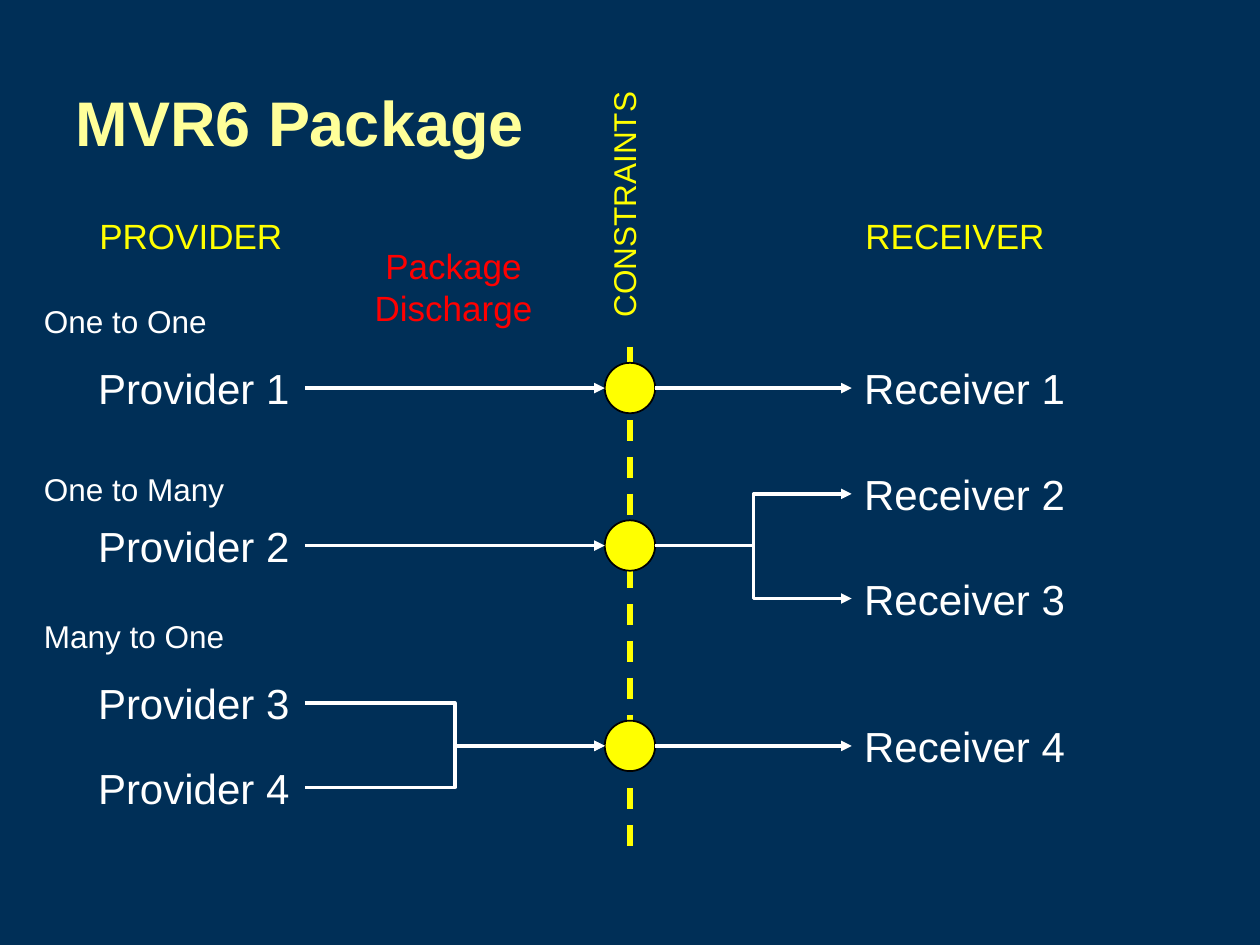
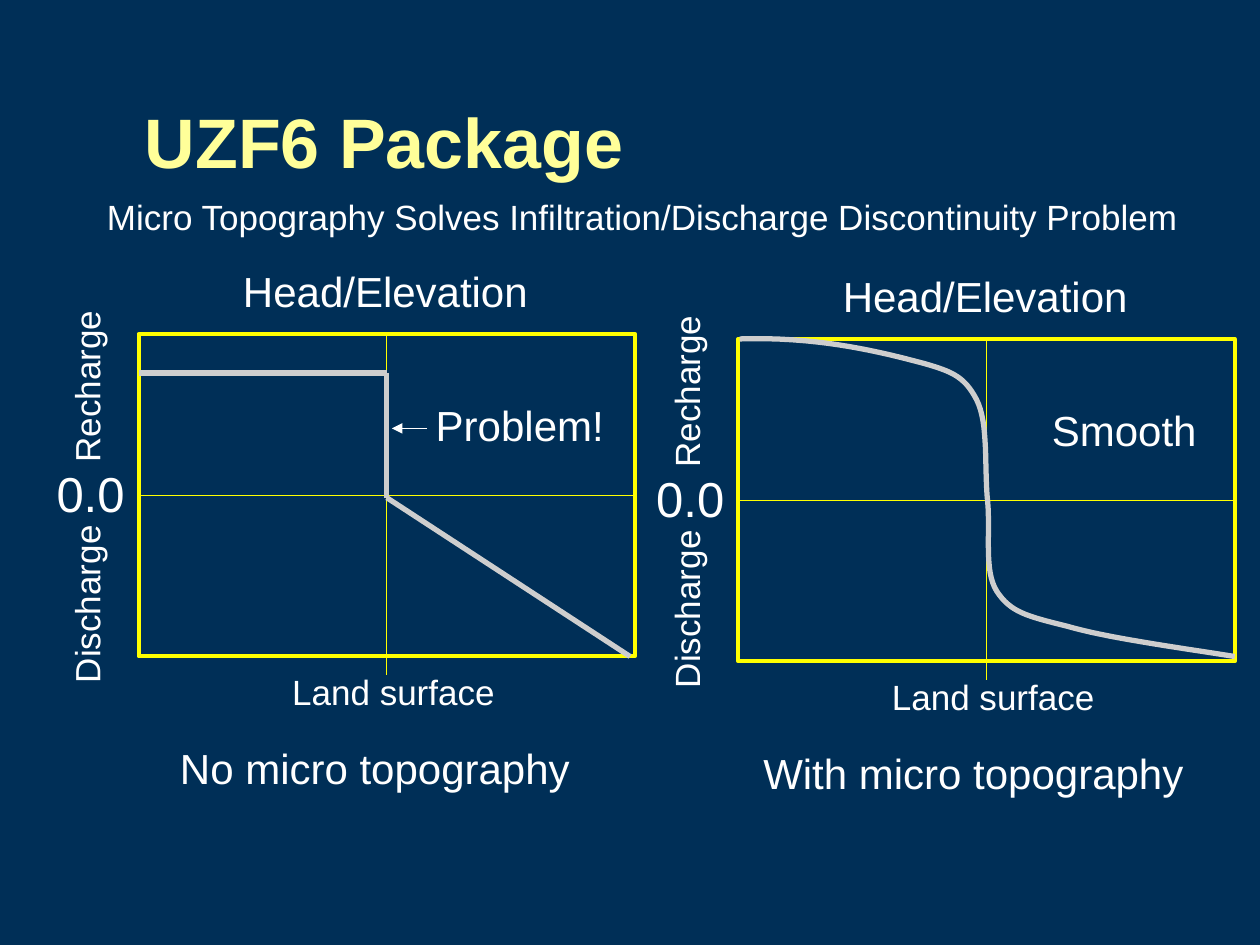
from dataclasses import dataclass
from lxml.etree import SubElement
from pptx import Presentation
from pptx.dml.color import RGBColor
from pptx.enum.dml import MSO_LINE_DASH_STYLE as Dash
from pptx.enum.shapes import MSO_AUTO_SHAPE_TYPE as Preset, MSO_CONNECTOR_TYPE as Route
from pptx.enum.text import MSO_ANCHOR as Anchor, MSO_AUTO_SIZE as AutoSize, PP_ALIGN as Align
from pptx.oxml.ns import qn
from pptx.util import Inches, Pt

TOP, LEFT, RIGHT = 0, 1, 3


@dataclass(frozen=True)
class Theme:
    font: str = "Arial"
    navy: str = "002F57"
    cream: str = "FFFF99"
    white: str = "FFFFFF"
    yellow: str = "FFFF00"
    red: str = "FF0000"
    gray: str = "CECECE"
    black: str = "000000"
    small: int = 18
    medium: int = 20
    large: int = 24
    axis: int = 28
    title: int = 36
    big_title: int = 40


THEME = Theme()


def write(frame, text, *, size, color, bold=False, align=Align.LEFT):
    for index, words in enumerate(text.split("\n")):
        para = frame.paragraphs[0] if index == 0 else frame.add_paragraph()
        para.alignment = align
        span = para.add_run()
        span.text = words
        span.font.name = THEME.font
        span.font.size = Pt(size)
        span.font.bold = bold
        span.font.color.rgb = RGBColor.from_string(color)


class Sketch:
    def __init__(self, deck, theme):
        self.deck = deck
        self.theme = theme
        self.page = None

    def new_page(self, title, place, size):
        self.page = self.deck.slides.add_slide(self.deck.slide_layouts.get_by_name("Title Only"))
        box = self.page.shapes.title
        box.left, box.top, box.width, box.height = map(Inches, place)
        box.text_frame.auto_size = AutoSize.NONE
        box.text_frame.vertical_anchor = Anchor.MIDDLE
        write(box.text_frame, title, size=size, color=self.theme.cream, bold=True)

    def label(self, text, left, top, width, height, *, size, color=None,
              align=Align.LEFT, rotation=0, vertical=False):
        box = self.page.shapes.add_textbox(*map(Inches, (left, top, width, height)))
        box.rotation = rotation
        frame = box.text_frame
        frame.word_wrap = False
        frame.auto_size = AutoSize.SHAPE_TO_FIT_TEXT
        if vertical:
            frame._txBody.bodyPr.set("vert", "vert270")
        write(frame, text, size=size, color=color or self.theme.white, align=align)
        return box

    def stroke(self, shape, color, width):
        shape.line.color.rgb = RGBColor.from_string(color)
        shape.line.width = Pt(width)

    def outline(self, left, top, width, height):
        shape = self.page.shapes.add_shape(
            Preset.RECTANGLE, *map(Inches, (left, top, width, height)))
        shape.shadow.inherit = False
        shape.fill.background()
        self.stroke(shape, self.theme.yellow, 2.25)
        return shape

    def node(self, center_x, center_y, radius):
        shape = self.page.shapes.add_shape(
            Preset.OVAL, Inches(center_x - radius), Inches(center_y - radius),
            Inches(2 * radius), Inches(2 * radius))
        shape.shadow.inherit = False
        shape.fill.solid()
        shape.fill.fore_color.rgb = RGBColor.from_string(self.theme.yellow)
        self.stroke(shape, self.theme.black, 1)

    def link(self, start, end, *, color, width, arrow=False, dash=None, begin=None, finish=None):
        level = start[0] == end[0] or start[1] == end[1]
        route = Route.ELBOW if arrow and not level else Route.STRAIGHT
        line = self.page.shapes.add_connector(route, *map(Inches, (*start, *end)))
        self.stroke(line, color, width)
        if dash:
            line.line.dash_style = dash
        if arrow:
            SubElement(line.line._ln, qn("a:tailEnd"), type="triangle")
        SubElement(line._element.spPr, qn("a:effectLst"))
        if begin and route == Route.STRAIGHT:
            line.begin_connect(*begin)
        if finish and route == Route.STRAIGHT:
            line.end_connect(*finish)

    def slope(self, start, end):
        line = self.page.shapes.add_connector(Route.STRAIGHT, *map(Inches, (*start, *end)))
        self.stroke(line, self.theme.gray, 3)
        SubElement(line._element.spPr, qn("a:effectLst"))

    def curve(self, points):
        places = [(Inches(x), Inches(y)) for x, y in points]
        builder = self.page.shapes.build_freeform(*places[0])
        builder.add_line_segments(places[1:], close=False)
        shape = builder.convert_to_shape()
        shape.shadow.inherit = False
        shape.fill.background()
        self.stroke(shape, self.theme.gray, 3)


def bezier_points(start, segments, steps=16):
    points = [start]
    for first, second, end in segments:
        origin = points[-1]
        for step in range(1, steps + 1):
            t = step / steps
            weights = ((1 - t) ** 3, 3 * t * (1 - t) ** 2, 3 * t * t * (1 - t), t ** 3)
            corners = (origin, first, second, end)
            points.append(tuple(
                sum(weight * corner[axis] for weight, corner in zip(weights, corners))
                for axis in (0, 1)))
    return points


FLOWS = [
    ("One to One", 2.35, 1.51, 3.08, {"Provider 1": 3.08}, {"Receiver 1": 3.08}),
    ("One to Many", 3.68, 1.65, 4.33, {"Provider 2": 4.33},
     {"Receiver 2": 3.92, "Receiver 3": 4.75}),
    ("Many to One", 4.85, 1.65, 5.92, {"Provider 3": 5.58, "Provider 4": 6.25},
     {"Receiver 4": 5.92}),
]

SMOOTH_CURVE = bezier_points((5.87, 2.69), [
    ((6.46, 2.67), (6.93, 2.78), (7.24, 2.86)),
    ((7.55, 2.94), (7.65, 2.98), (7.75, 3.17)),
    ((7.85, 3.36), (7.81, 3.73), (7.84, 3.99)),
    ((7.86, 4.24), (7.81, 4.53), (7.91, 4.69)),
    ((8.02, 4.86), (8.15, 4.89), (8.47, 4.97)),
    ((8.78, 5.06), (9.29, 5.13), (9.8, 5.21)),
])


def mover_page(sketch):
    theme = sketch.theme
    provider_left, provider_width = 0.68, 1.74
    receiver_left, receiver_width = 6.76, 1.81
    axis_x, radius, box_height = 5, 0.2, 0.5
    arrow = dict(color=theme.white, width=2, arrow=True)
    heading = dict(size=theme.medium, color=theme.yellow, align=Align.CENTER)

    sketch.new_page("MVR6 Package", (0.5, 0.56, 9, 0.81), theme.title)
    sketch.label("Package\nDischarge", 2.87, 1.89, 1.46, 0.77,
                 size=theme.medium, color=theme.red, align=Align.CENTER)
    sketch.label("RECEIVER", receiver_left, 1.65, 1.64, 0.44, **heading)
    sketch.label("PROVIDER", provider_left, 1.65, 1.67, 0.44, **heading)
    sketch.label("CONSTRAINTS", 4.75, 0.67, 0.5, 1.91, size=theme.small,
                 color=theme.yellow, align=Align.CENTER, vertical=True)
    sketch.link((axis_x, 2.75), (axis_x, 6.75), color=theme.yellow, width=3, dash=Dash.DASH)

    for name, name_top, name_width, node_y, providers, receivers in FLOWS:
        sketch.label(name, 0.25, name_top, name_width, 0.4, size=theme.small)
        sketch.node(axis_x, node_y, radius)
        for provider, y in providers.items():
            box = sketch.label(provider, provider_left, y - box_height / 2,
                               provider_width, box_height, size=theme.large)
            sketch.link((provider_left + provider_width, y), (axis_x - radius, node_y),
                        begin=(box, RIGHT), **arrow)
        for receiver, y in receivers.items():
            box = sketch.label(receiver, receiver_left, y - box_height / 2,
                               receiver_width, box_height, size=theme.large)
            sketch.link((axis_x + radius, node_y), (receiver_left, y),
                        finish=(box, LEFT), **arrow)


def graph(sketch, dx, dy, caption, caption_left, caption_width):
    theme = sketch.theme
    left, top, width, height = 1.1 + dx, 2.65 + dy, 3.94, 2.56
    middle_x, middle_y = left + width / 2, top + height / 2
    thin = dict(color=theme.yellow, width=0.75)

    frame = sketch.outline(left, top, width, height)
    sketch.link((middle_x, top), (middle_x, 5.36 + dy), begin=(frame, TOP), **thin)
    sketch.link((left, middle_y), (left + width, middle_y),
                begin=(frame, LEFT), finish=(frame, RIGHT), **thin)
    for text, x, y, box_width, box_height, size, rotation in (
        ("Head/Elevation", 1.83, 2.06, 2.48, 0.5, theme.large, 0),
        ("Land surface", 2.22, 5.27, 1.82, 0.44, theme.medium, 0),
        ("Discharge", -0.04, 4.57, 1.46, 0.44, theme.medium, 270),
        ("0.0", 0.35, 3.63, 0.75, 0.57, theme.axis, 0),
        ("Recharge", -0.02, 2.84, 1.42, 0.44, theme.medium, 270),
        (caption, caption_left, 5.84, caption_width, 0.5, theme.large, 0),
    ):
        sketch.label(text, x + dx, y + dy, box_width, box_height, size=size, rotation=rotation)


def unsaturated_page(sketch):
    theme = sketch.theme
    sketch.new_page("UZF6 Package", (1.05, 0.49, 8.5, 1.25), theme.big_title)
    sketch.label("Micro Topography Solves Infiltration/Discharge Discontinuity Problem",
                 0.75, 1.5, 8.77, 0.44, size=theme.medium)

    graph(sketch, 0, 0, "No micro topography", 1.33, 3.33)
    corners = [(1.1, 2.96), (3.07, 2.96), (3.07, 3.95), (5, 5.21)]
    for start, end in zip(corners, corners[1:]):
        sketch.slope(start, end)
    sketch.label("Problem!", 3.36, 3.12, 1.55, 0.5, size=theme.large)
    sketch.link((3.39, 3.4), (3.11, 3.4), color=theme.white, width=0.75, arrow=True)

    graph(sketch, 4.76, 0.04, "With micro topography", 1.2, 3.57)
    sketch.label("Smooth", 8.25, 3.16, 1.36, 0.5, size=theme.large)
    sketch.curve(SMOOTH_CURVE)


def main():
    deck = Presentation()
    deck.slide_width, deck.slide_height = Inches(10), Inches(7.5)
    backdrop = deck.slide_master.background.fill
    backdrop.solid()
    backdrop.fore_color.rgb = RGBColor.from_string(THEME.navy)
    sketch = Sketch(deck, THEME)
    mover_page(sketch)
    unsaturated_page(sketch)
    deck.save("out.pptx")


if __name__ == "__main__":
    main()
